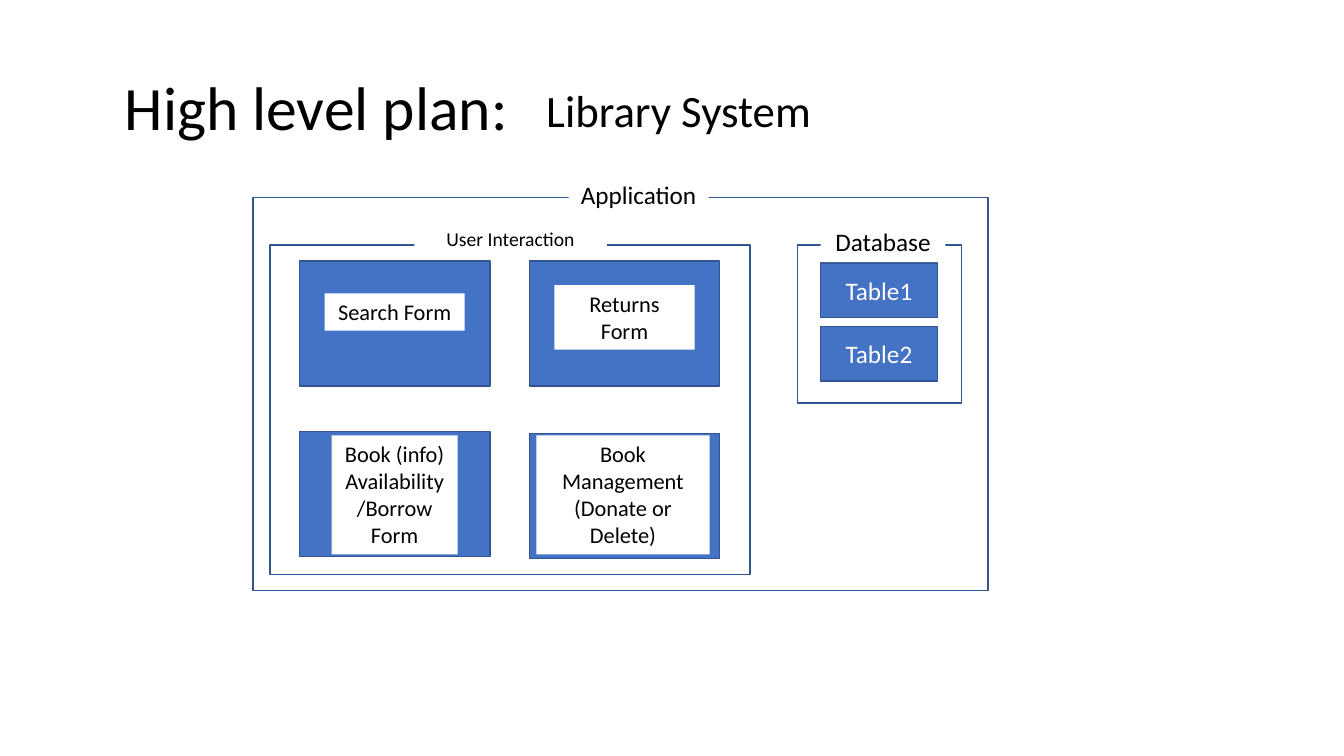
from pptx import Presentation
from pptx.dml.color import RGBColor
from pptx.enum.shapes import MSO_SHAPE as Shape
from pptx.enum.text import MSO_ANCHOR as Anchor, MSO_AUTO_SIZE as AutoSize, PP_ALIGN as Align
from pptx.util import Inches, Pt

BLUE = RGBColor(0x44, 0x72, 0xC4)
OUTLINE = RGBColor(0x32, 0x54, 0x91)
WHITE = RGBColor(0xFF, 0xFF, 0xFF)
BLACK = RGBColor(0x00, 0x00, 0x00)
FONT = "Calibri"
CELL = Inches(0.1)
COLUMNS, ROWS = 133.33, 75
FORM_COLUMNS, FORM_WIDTH, FORM_HEIGHT = (29.7, 52.5), 18.9, 12.4
TABLE_TOP, TABLE_STEP = 26.1, 6.3


def cells(*counts):
    """Turn counts of grid cells into lengths."""
    return [round(count * CELL) for count in counts]


def write(shape, text, size=18, color=BLACK, align=Align.CENTER,
          anchor=Anchor.TOP, spacing=None, grow=False):
    """Put formatted, wrapping text into a shape."""
    frame = shape.text_frame
    frame.word_wrap = True
    frame.auto_size = AutoSize.SHAPE_TO_FIT_TEXT if grow else AutoSize.NONE
    frame.vertical_anchor = anchor
    paragraph = frame.paragraphs[0]
    paragraph.alignment = align
    if spacing:
        paragraph.line_spacing = spacing
    run = paragraph.add_run()
    run.text = text
    run.font.name = FONT
    run.font.size = Pt(size)
    run.font.color.rgb = color


def add_box(slide, place, fill=None):
    """Draw an outlined rectangle, filled or open."""
    shape = slide.shapes.add_shape(Shape.RECTANGLE, *cells(*place))
    shape.shadow.inherit = False
    if fill is None:
        shape.fill.background()
    else:
        shape.fill.solid()
        shape.fill.fore_color.rgb = fill
    shape.line.color.rgb = OUTLINE
    shape.line.width = Pt(1)
    return shape


def add_text(slide, place, text, **text_format):
    """Place a text box without fill."""
    shape = slide.shapes.add_textbox(*cells(*place))
    write(shape, text, **text_format)
    return shape


def add_label(slide, place, text, size):
    """Place a centred caption on white."""
    label = add_text(slide, place, text, size=size, grow=True)
    label.fill.solid()
    label.fill.fore_color.rgb = WHITE


def add_form(slide, column, top, label_place, text):
    """Draw a blue form with its white caption."""
    add_box(slide, (FORM_COLUMNS[column], top, FORM_WIDTH, FORM_HEIGHT), BLUE)
    add_label(slide, label_place, text, 16)


def main():
    """Build the library system plan."""
    presentation = Presentation()
    presentation.slide_width, presentation.slide_height = cells(COLUMNS, ROWS)
    slide = presentation.slides.add_slide(presentation.slide_layouts[6])

    for index, name in enumerate(("Table1", "Table2")):
        table = add_box(slide, (81.4, TABLE_TOP + index * TABLE_STEP, 11.6, 5.4), BLUE)
        write(table, name, color=WHITE, anchor=Anchor.MIDDLE)

    add_box(slide, (79.1, 24.3, 16.3, 15.7))
    add_box(slide, (25.1, 19.6, 72.9, 39))
    add_label(slide, (81.4, 22, 12.4, 4), "Database", 18)
    add_label(slide, (56.4, 17.3, 13.9, 4), "Application", 18)

    forms = (
        (0, 25.9, (32.2, 29.1, 13.9, 3.7), "Search Form"),
        (0, 42.8, (32.9, 43.2, 12.5, 11.8), "Book (info) Availability/Borrow Form"),
        (1, 25.9, (55, 28.3, 13.9, 6.4), "Returns Form"),
        (1, 43, (53.2, 43.2, 17.2, 11.8), "Book Management (Donate or Delete)"),
    )
    for form in forms:
        add_form(slide, *form)

    add_box(slide, (26.8, 24.3, 47.6, 32.7))
    add_label(slide, (41.1, 22, 19.1, 3.4), "User Interaction", 14)

    add_text(slide, (11.4, 3.7, 115, 14.5), "High level plan:", size=44,
             align=Align.LEFT, anchor=Anchor.MIDDLE, spacing=0.9)
    add_text(slide, (53.2, 7.7, 41.9, 6.4), "Library System", size=32,
             align=Align.LEFT, grow=True)
    presentation.save("out.pptx")


main()
